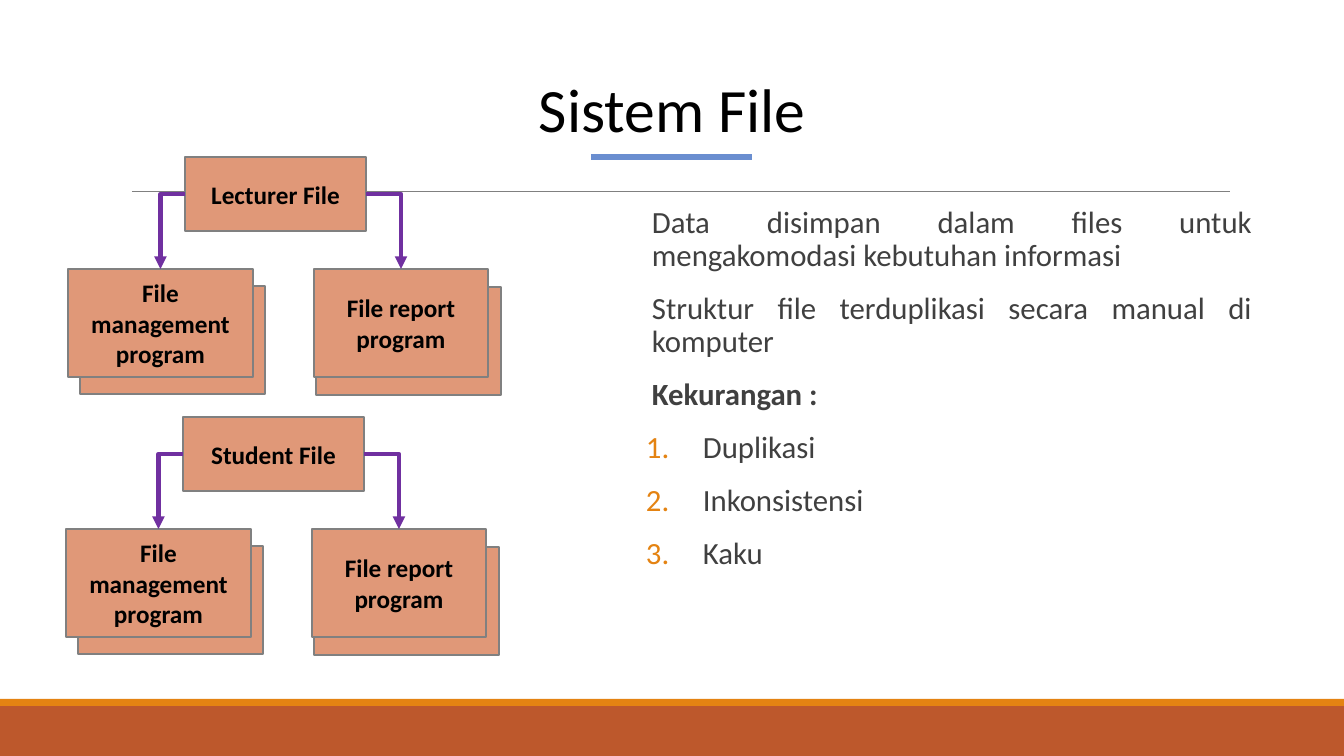
from lxml import etree
from pptx import Presentation
from pptx.dml.color import RGBColor
from pptx.enum.shapes import MSO_CONNECTOR, MSO_SHAPE
from pptx.enum.text import MSO_ANCHOR, MSO_AUTO_SIZE, PP_ALIGN
from pptx.oxml.ns import qn
from pptx.util import Pt

RECT, PROCESS = MSO_SHAPE.RECTANGLE, MSO_SHAPE.FLOWCHART_PROCESS
STRAIGHT, ELBOW = MSO_CONNECTOR.STRAIGHT, MSO_CONNECTOR.ELBOW
CENTER, JUSTIFY = PP_ALIGN.CENTER, PP_ALIGN.JUSTIFY
TOP_SITE, LEFT_SITE, RIGHT_SITE = 0, 1, 3

FONT = "Calibri"
BOX_FILL, GREY, PURPLE, ORANGE = "E09878", "808080", "7030A0", "E48312"

TITLE = "Sistem File"
STATEMENTS = [
    ("Data disimpan dalam files untuk mengakomodasi kebutuhan informasi", False),
    ("Struktur file terduplikasi secara manual di komputer", False),
    ("Kekurangan :", True),
]
DRAWBACKS = ["Duplikasi", "Inkonsistensi", "Kaku"]

# Each file group: label, left and top of its file box
FILE_GROUPS = [("Lecturer File", 185, 157), ("Student File", 183, 417)]
FILE_SIZE = (181, 74)
# Boxes placed relative to the file box: dx, dy, width, height
BACK_BOXES = [(131, 130, 185, 108), (-105, 129, 185, 108)]
PROGRAMS = [
    ("File report program", (129, 112, 174, 108), RIGHT_SITE),
    ("File management program", (-117, 112, 185, 108), LEFT_SITE),
]
BARS = [((0, 706, 1344, 50), "BD582C"), ((0, 699, 1344, 7), ORANGE)]

SLIDE_W, SLIDE_H = 1344, 756
EMU_PER_PX = 12192000 / SLIDE_W


def px(n):
    return round(n * EMU_PER_PX)


def rgb(hex_color):
    return RGBColor.from_string(hex_color)


def style_runs(p, size, color, bold=False):
    for r in p.runs:
        r.font.name, r.font.size, r.font.bold = FONT, Pt(size), bold
        r.font.color.rgb = rgb(color)


def add_box(s, geometry, place, fill, outline=None, label=""):
    sp = s.shapes.add_shape(geometry, *map(px, place))
    sp.shadow.inherit = False
    sp.fill.solid()
    sp.fill.fore_color.rgb = rgb(fill)
    if outline:
        sp.line.color.rgb = rgb(outline)
        sp.line.width = Pt(1.25)
    else:
        sp.line.fill.background()
    if label:
        tf = sp.text_frame
        tf.word_wrap = True
        tf.vertical_anchor = MSO_ANCHOR.MIDDLE
        tf.text = label
        tf.paragraphs[0].alignment = CENTER
        style_runs(tf.paragraphs[0], 18, "000000", True)
    return sp


def add_line(s, kind, ends, color, width):
    """Add a connector between ends (x1, y1, x2, y2), given in EMU."""
    line = s.shapes.add_connector(kind, *ends)
    line.line.color.rgb = rgb(color)
    line.line.width = Pt(width)
    etree.SubElement(line._element.spPr, qn("a:effectLst"))
    return line


def add_bent_arrow(s, source, side, target):
    """Run sideways from source, then down to the top of target."""
    x1 = source.left + (source.width if side == RIGHT_SITE else 0)
    y1 = source.top + source.height // 2
    x2 = target.left + target.width // 2
    arrow = add_line(s, ELBOW, (x1, y1, x2, target.top), PURPLE, 3)
    arrow.begin_connect(source, side)
    arrow.end_connect(target, TOP_SITE)
    spPr = arrow._element.spPr
    spPr.find(qn("a:prstGeom")).set("prst", "bentConnector2")
    etree.SubElement(spPr.find(qn("a:ln")), qn("a:tailEnd"), type="triangle")


def add_file_group(s, label, x, y):
    def shifted(place):
        dx, dy, w, h = place
        return x + dx, y + dy, w, h

    for place in BACK_BOXES:
        add_box(s, RECT, shifted(place), BOX_FILL, GREY)
    file_box = add_box(s, PROCESS, (x, y, *FILE_SIZE), BOX_FILL, GREY, label)
    for name, place, side in PROGRAMS:
        program = add_box(s, RECT, shifted(place), BOX_FILL, GREY, name)
        add_bent_arrow(s, file_box, side, program)


def add_title(s):
    title = s.shapes.title
    title.left, title.top, title.width, title.height = map(px, (93, 40, 1159, 146))
    tf = title.text_frame
    tf.text = TITLE
    tf.auto_size = MSO_AUTO_SIZE.NONE
    tf.vertical_anchor = MSO_ANCHOR.MIDDLE
    p = tf.paragraphs[0]
    p.alignment, p.line_spacing = CENTER, 0.9
    style_runs(p, 44, "000000")


def set_indent(p, left, hanging=0):
    pPr = p._p.get_or_add_pPr()
    pPr.set("marL", str(px(left)))
    pPr.set("indent", str(-px(hanging)))
    return pPr


def number_paragraph(p):
    pPr = set_indent(p, 101, 57)
    color = etree.SubElement(pPr, qn("a:buClr"))
    etree.SubElement(color, qn("a:srgbClr"), val=ORANGE)
    etree.SubElement(pPr, qn("a:buFont"), typeface="+mj-lt")
    etree.SubElement(pPr, qn("a:buAutoNum"), type="arabicPeriod")


def add_body(s):
    tf = s.shapes.add_textbox(*map(px, (602, 202, 650, 480))).text_frame
    tf.word_wrap = True
    tf.margin_left = tf.margin_right = 0
    items = STATEMENTS + [(text, False) for text in DRAWBACKS]
    tf.text = "\n".join(text for text, _ in items)
    for i, (p, (_, bold)) in enumerate(zip(tf.paragraphs, items)):
        p.alignment, p.line_spacing = JUSTIFY, 0.9
        p.space_before, p.space_after = Pt(12), Pt(2)
        style_runs(p, 22, "404040", bold)
        if i < len(STATEMENTS):
            set_indent(p, 50)
        else:
            number_paragraph(p)


def main():
    prs = Presentation()
    prs.slide_width, prs.slide_height = px(SLIDE_W), px(SLIDE_H)
    s = prs.slides.add_slide(prs.slide_layouts[5])
    for place, color in BARS:
        add_box(s, RECT, place, color)
    add_line(s, STRAIGHT, map(px, (132, 191, 1230, 191)), GREY, 0.5)
    add_body(s)
    add_title(s)
    add_line(s, STRAIGHT, map(px, (591, 157, 752, 157)), "6A8ED0", 4.5)
    for group in FILE_GROUPS:
        add_file_group(s, *group)
    prs.save("out.pptx")


if __name__ == "__main__":
    main()
